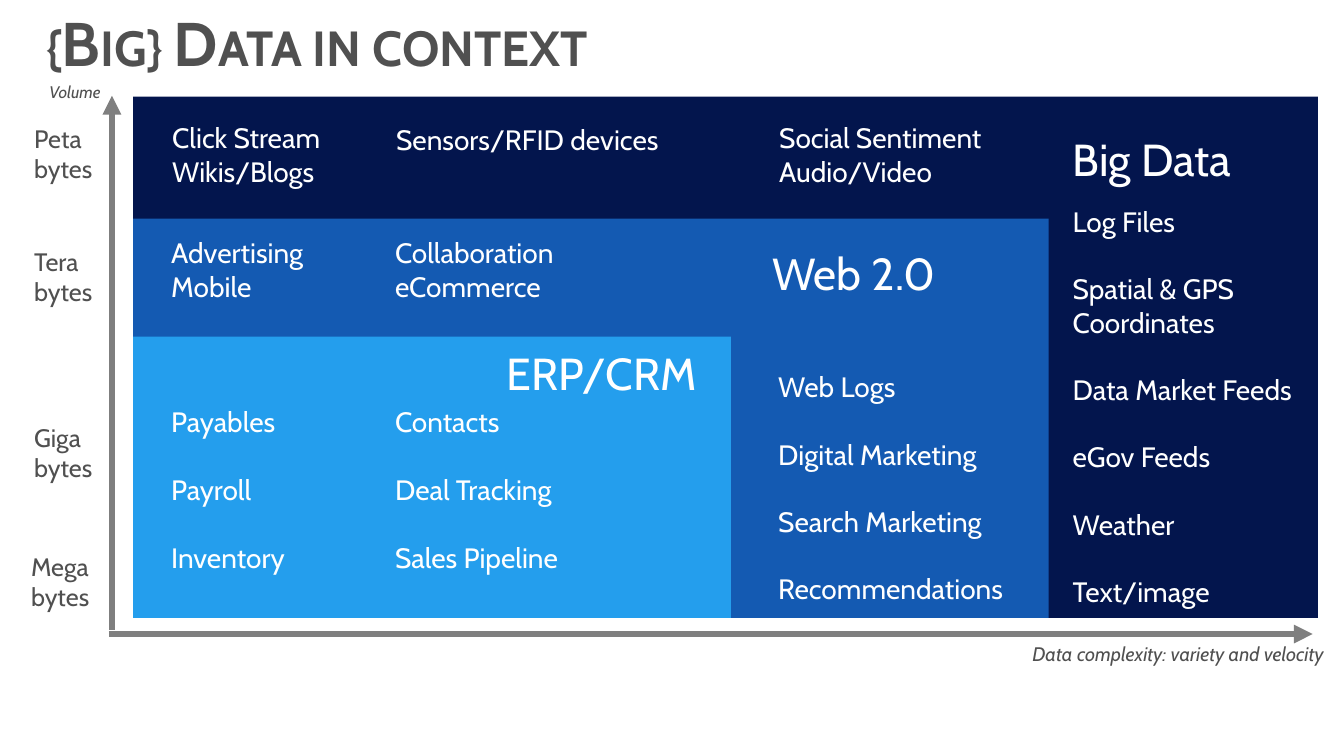
from lxml import etree
from pptx import Presentation
from pptx.dml.color import RGBColor
from pptx.enum import shapes, text
from pptx.oxml.ns import qn
from pptx.util import Inches, Pt

FONT = "Cabin"
WHITE, DARK, GREY = "FFFFFF", "505050", "7F7F7F"
LEFT, BASE = 1.32, 6.13

# Nested zones: top, width, fill; all share the lower left corner
ZONES = [
    (0.96, 11.75, "03154D"),
    (2.17, 9.08, "145AB2"),
    (3.34, 5.93, "249EED"),
]

# Zone headings: left, top, width, words
HEADS = [
    (4.93, 3.38, 2.3, "ERP/CRM"),
    (7.56, 2.39, 2.3, "Web 2.0"),
    (10.54, 1.26, 2.3, "Big Data"),
]

# Business records, one column per entry
RECORDS = [
    (1.6, ["Payables", "Payroll", "Inventory"]),
    (3.82, ["Contacts", "Deal Tracking", "Sales Pipeline"]),
]
REC_TOP, REC_STEP = 3.96, 0.675

# Blocks of close lines: left, top, width, lines
BLOCKS = [
    (1.61, 1.15, 2.1, ["Click Stream", "Wikis/Blogs"]),
    (3.83, 1.17, 3.4, ["Sensors/RFID devices"]),
    (7.63, 1.15, 2.7, ["Social Sentiment", "Audio/Video"]),
    (1.6, 2.29, 2.1, ["Advertising", "Mobile"]),
    (3.82, 2.29, 2.7, ["Collaboration", "eCommerce"]),
]

# Spaced lists: left, top, width, items (a line break stays in its item)
LISTS = [
    (7.62, 3.62, 2.75, ["Web Logs", "Digital Marketing", "Search Marketing",
                        "Recommendations"]),
    (10.54, 1.98, 2.75, ["Log Files", "Spatial & GPS\vCoordinates",
                         "Data Market Feeds", "eGov Feeds", "Weather",
                         "Text/image"]),
]

# Volume scale: left, top, prefix
SCALE = [(0.24, 1.17, "Peta"), (0.24, 2.39, "Tera"),
         (0.24, 4.14, "Giga"), (0.21, 5.42, "Mega")]

# Axes: start x, start y, end x, end y
AXES = [(1.11, 6.25, 1.11, 0.95), (1.08, 6.29, 13.02, 6.29)]

# Axis captions: left, top, width, size, words
NOTES = [
    (0.39, 0.76, 0.85, 12, "Volume"),
    (10.14, 6.32, 3.19, 14, "Data complexity: variety and velocity"),
]

LINE = 1.2  # line height as a share of the type size

deck = Presentation()
deck.slide_width, deck.slide_height = Inches(13.33), Inches(7.5)
slide = deck.slides.add_slide(deck.slide_layouts[6])


def color(code):
    return RGBColor.from_string(code)


def write(x, y, w, lines, size, ink=WHITE, italic=False, gap=0):
    rows = sum(1 + line.count("\v") for line in lines)
    tall = 0.1 + (rows * size * LINE + gap * (len(lines) - 1)) / 72
    box = slide.shapes.add_textbox(Inches(x), Inches(y), Inches(w), Inches(tall))
    frame = box.text_frame
    frame.word_wrap = True
    frame.vertical_anchor = text.MSO_ANCHOR.TOP
    frame.text = "\n".join(lines)
    for i, para in enumerate(frame.paragraphs):
        if i and gap:
            para.space_before = Pt(gap)
        for run in para.runs:
            run.font.name, run.font.size = FONT, Pt(size)
            run.font.color.rgb = color(ink)
            run.font.italic = italic
    return frame.paragraphs[0]


# Zones
for top, wide, fill in ZONES:
    zone = slide.shapes.add_shape(
        shapes.MSO_SHAPE.RECTANGLE, Inches(LEFT), Inches(top),
        Inches(wide), Inches(BASE - top))
    zone.shadow.inherit = False
    zone.fill.solid()
    zone.fill.fore_color.rgb = color(fill)
    zone.line.fill.background()

# Words in the zones
for x, y, w, words in HEADS:
    write(x, y, w, [words], 32)
for x, names in RECORDS:
    for i, name in enumerate(names):
        write(x, REC_TOP + i * REC_STEP, 2.2, [name], 20)
for x, y, w, lines in BLOCKS:
    write(x, y, w, lines, 20)
for x, y, w, items in LISTS:
    write(x, y, w, items, 20, gap=20 * LINE)

# Scale and axes
for x, y, prefix in SCALE:
    write(x, y, 0.85, [prefix, "bytes"], 18, DARK)
for x1, y1, x2, y2 in AXES:
    axis = slide.shapes.add_connector(
        shapes.MSO_CONNECTOR.STRAIGHT,
        Inches(x1), Inches(y1), Inches(x2), Inches(y2))
    axis.line.color.rgb = color(GREY)
    axis.line.width = Pt(4.5)
    etree.SubElement(axis.line._get_or_add_ln(), qn("a:tailEnd"), type="triangle")
    etree.SubElement(axis._element.spPr, qn("a:effectLst"))
for x, y, w, size, words in NOTES:
    write(x, y, w, [words], size, DARK, italic=True)

# Title
title = write(0.36, 0.08, 10.68, ["{Big} Data in context"], 44, DARK)
title.line_spacing = 0.9
for run in title.runs:
    run.font.bold = True
    run._r.get_or_add_rPr().set("cap", "small")

deck.save("out.pptx")
